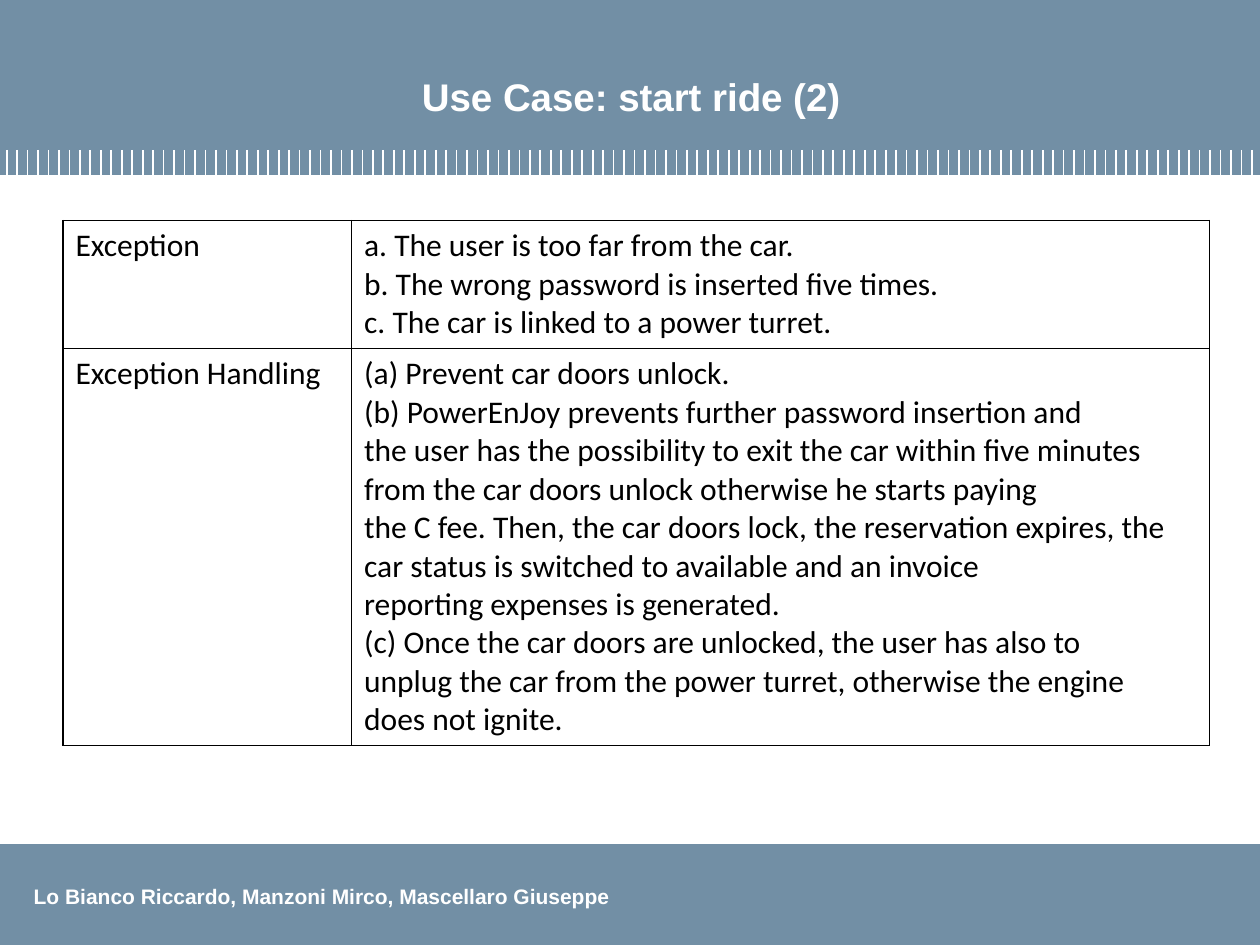
from pptx import Presentation
from pptx.dml.color import RGBColor
from pptx.enum.shapes import MSO_CONNECTOR as Connector, MSO_SHAPE as Shape
from pptx.enum.text import MSO_ANCHOR as Anchor, MSO_AUTO_SIZE as AutoSize, PP_ALIGN as Align
from pptx.oxml.ns import qn
from pptx.util import Pt
from lxml.etree import SubElement

WIDTH, HEIGHT = 720, 540
BLUE, WHITE, BLACK = "728FA5", "FFFFFF", "000000"
BAND_BOTTOM = 100
FOOTER_TOP = 482.4
TICK_COUNT, TICK_START, TICK_PITCH, TICK_TOP = 120, 3.8, 5.98, 85.7

TITLE_FORMAT = {"name": "Arial", "size": Pt(22), "bold": True}
FOOTER_FORMAT = {"name": "Arial", "size": Pt(12), "bold": True}
CELL_FORMAT = {"name": "Calibri", "size": Pt(18), "bold": False}

TITLE = "Use Case: start ride (2)"
AUTHORS = "Lo Bianco Riccardo, Manzoni Mirco, Mascellaro Giuseppe"
COLUMN_WIDTHS = [164.9, 490.3]
ROW_HEIGHTS = [73.1, 226.9]
ROWS = [
    (["Exception"], [
        "a. The user is too far from the car.",
        "b. The wrong password is inserted five times.",
        "c. The car is linked to a power turret.",
    ]),
    (["Exception Handling"], [
        "(a) Prevent car doors unlock.",
        "(b) PowerEnJoy prevents further password insertion and",
        "the user has the possibility to exit the car within five minutes "
        "from the car doors unlock otherwise he starts paying",
        "the C fee. Then, the car doors lock, the reservation expires, "
        "the car status is switched to available and an invoice",
        "reporting expenses is generated.",
        "(c) Once the car doors are unlocked, the user has also to",
        "unplug the car from the power turret, otherwise the engine",
        "does not ignite.",
    ]),
]


def color(value):
    return RGBColor.from_string(value)


def write_text(frame, lines, font_format, font_color, align=Align.LEFT):
    for index, line in enumerate(lines):
        paragraph = frame.paragraphs[0] if index == 0 else frame.add_paragraph()
        paragraph.alignment = align
        run = paragraph.add_run()
        run.text = line
        for name, value in font_format.items():
            setattr(run.font, name, value)
        run.font.color.rgb = color(font_color)


def add_band(slide, top, height):
    shape = slide.shapes.add_shape(Shape.RECTANGLE, 0, Pt(top), Pt(WIDTH), Pt(height))
    shape.shadow.inherit = False
    shape.fill.solid()
    shape.fill.fore_color.rgb = color(BLUE)
    shape.line.fill.background()


def add_tick(slide, x):
    tick = slide.shapes.add_connector(
        Connector.STRAIGHT, Pt(x), Pt(TICK_TOP), Pt(x), Pt(BAND_BOTTOM))
    tick.line.color.rgb = color(WHITE)
    tick.line.width = Pt(1)
    SubElement(tick.element.spPr, qn("a:effectLst"))


def add_footer(slide):
    box = slide.shapes.add_textbox(Pt(12.2), Pt(501.1), Pt(347.8), Pt(21.6))
    box.text_frame.word_wrap = False
    box.text_frame.auto_size = AutoSize.SHAPE_TO_FIT_TEXT
    write_text(box.text_frame, [AUTHORS], FOOTER_FORMAT, WHITE)


def format_title(slide):
    title = slide.shapes.title
    title.left, title.top, title.width, title.height = Pt(23), Pt(10.8), Pt(675.4), Pt(66.2)
    frame = title.text_frame
    frame.auto_size = AutoSize.NONE
    frame.vertical_anchor = Anchor.BOTTOM
    frame.margin_bottom = Pt(9)
    write_text(frame, [TITLE], TITLE_FORMAT, WHITE, Align.CENTER)
    # Bring the title in front of the header band
    title.element.getparent().append(title.element)


def add_borders(cell):
    properties = cell._tc.get_or_add_tcPr()
    for side in ("a:lnL", "a:lnR", "a:lnT", "a:lnB"):
        border = SubElement(properties, qn(side), w=str(Pt(1)))
        fill = SubElement(border, qn("a:solidFill"))
        SubElement(fill, qn("a:srgbClr"), val=BLACK)


def add_use_case_table(slide):
    frame = slide.shapes.add_table(
        len(ROWS), len(COLUMN_WIDTHS), Pt(36), Pt(126),
        Pt(sum(COLUMN_WIDTHS)), Pt(sum(ROW_HEIGHTS)))
    table = frame.table
    table.first_row = table.horz_banding = False
    for column, width in zip(table.columns, COLUMN_WIDTHS):
        column.width = Pt(width)
    for row, height, contents in zip(table.rows, ROW_HEIGHTS, ROWS):
        row.height = Pt(height)
        for cell, lines in zip(row.cells, contents):
            add_borders(cell)
            cell.fill.background()
            write_text(cell.text_frame, lines, CELL_FORMAT, BLACK)


def main():
    presentation = Presentation()
    presentation.slide_width, presentation.slide_height = Pt(WIDTH), Pt(HEIGHT)
    slide = presentation.slides.add_slide(presentation.slide_layouts[5])

    # Header and footer bands
    add_band(slide, 0, BAND_BOTTOM)
    add_band(slide, FOOTER_TOP, HEIGHT - FOOTER_TOP)
    add_footer(slide)
    for index in range(TICK_COUNT):
        add_tick(slide, TICK_START + index * TICK_PITCH)

    # Title and table
    format_title(slide)
    add_use_case_table(slide)

    presentation.save("out.pptx")


if __name__ == "__main__":
    main()
